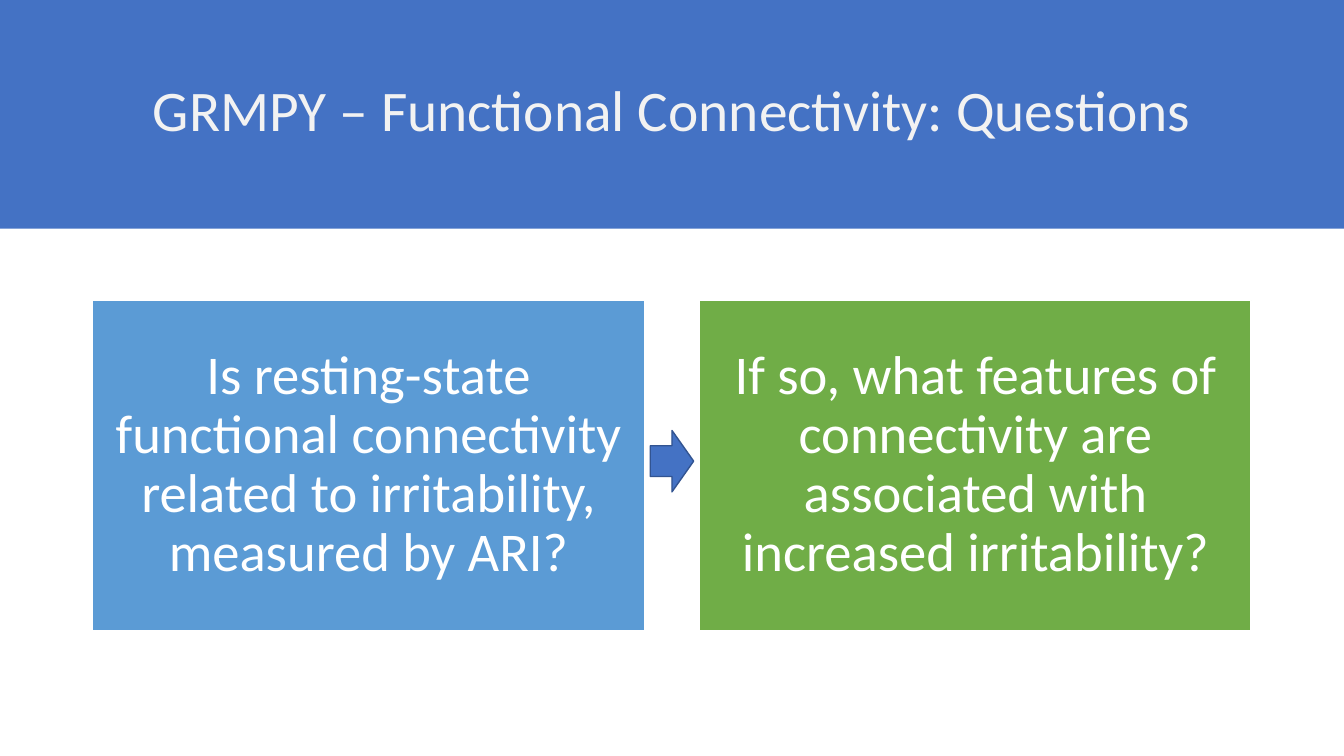
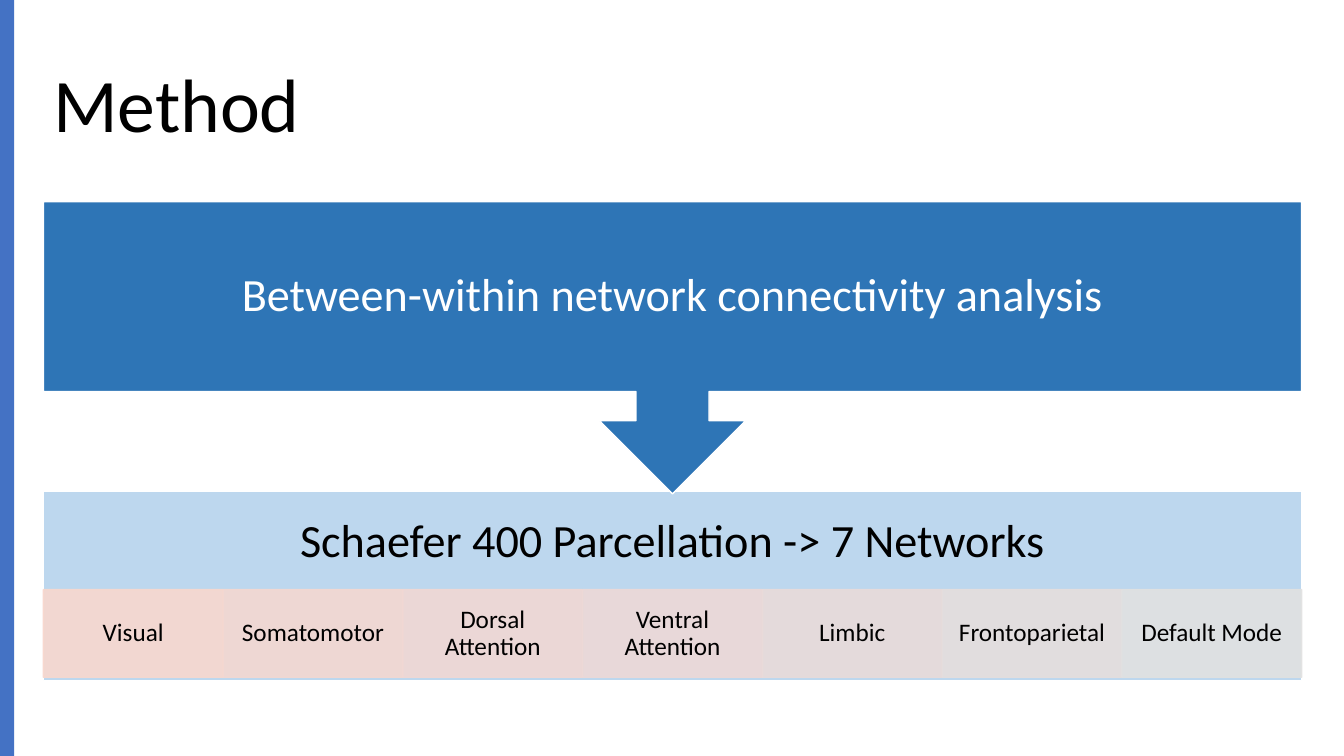
from lxml.etree import SubElement
from pptx import Presentation
from pptx.dml.color import RGBColor
from pptx.enum.shapes import MSO_SHAPE as SHAPE
from pptx.enum.text import MSO_ANCHOR, PP_ALIGN
from pptx.oxml.ns import qn
from pptx.util import Inches, Pt

FONT = "Calibri"
WHITE = RGBColor(0xFF, 0xFF, 0xFF)
BLACK = RGBColor(0x00, 0x00, 0x00)
PALE = RGBColor(0xF2, 0xF2, 0xF2)
ACCENT = RGBColor(0x44, 0x72, 0xC4)
ACCENT_EDGE = RGBColor(0x32, 0x54, 0x91)
SKY = RGBColor(0x5B, 0x9B, 0xD5)
GREEN = RGBColor(0x70, 0xAD, 0x47)
DEEP_BLUE = RGBColor(0x2E, 0x75, 0xB6)
LIGHT_BLUE = RGBColor(0xBD, 0xD7, 0xEE)

SLIDE_W, SLIDE_H = 13.33, 7.5
QUESTIONS = [
    ("Is resting-state functional connectivity related to irritability, "
     "measured by ARI?", SKY),
    ("If so, what features of connectivity are associated with increased "
     "irritability?", GREEN),
]
NETWORKS = [
    ("Visual", RGBColor(0xF8, 0xD7, 0xCE)),
    ("Somatomotor", RGBColor(0xF4, 0xD7, 0xD1)),
    ("Dorsal Attention", RGBColor(0xF1, 0xD8, 0xD4)),
    ("Ventral Attention", RGBColor(0xED, 0xD9, 0xD7)),
    ("Limbic", RGBColor(0xE9, 0xDB, 0xDA)),
    ("Frontoparietal", RGBColor(0xE5, 0xDE, 0xDD)),
    ("Default Mode", RGBColor(0xE1, 0xE1, 0xE1)),
]


def write(sp, text, size, color, align=PP_ALIGN.CENTER,
          insets=(0.1, 0.05, 0.1, 0.05)):
    """Set one middle-anchored paragraph; insets are left, top, right, bottom."""
    tf = sp.text_frame
    tf.word_wrap = True
    tf.vertical_anchor = MSO_ANCHOR.MIDDLE
    (tf.margin_left, tf.margin_top,
     tf.margin_right, tf.margin_bottom) = map(Inches, insets)
    p = tf.paragraphs[0]
    p.text = text
    p.alignment = align
    p.line_spacing = 0.9
    p.font.name = FONT
    p.font.size = Pt(size)
    p.font.color.rgb = color


def add_block(s, box, fill, line=None, kind=SHAPE.RECTANGLE):
    sp = s.shapes.add_shape(kind, *map(Inches, box))
    sp.shadow.inherit = False
    sp.fill.solid()
    sp.fill.fore_color.rgb = fill
    if line is None:
        sp.line.fill.background()
    else:
        sp.line.color.rgb = line
        sp.line.width = Pt(1)
    return sp


def add_title(s, box, text, size, color, align):
    write(s.shapes.add_textbox(*map(Inches, box)), text, size, color, align)


def set_opacity(sp, percent):
    """Apply one opacity to both the fill and the outline."""
    for color in sp._element.spPr.iter(qn("a:srgbClr")):
        SubElement(color, qn("a:alpha"), val=str(percent * 1000))


def add_questions(s, box):
    """Two question blocks side by side, with an arrow in the gap."""
    x, y, w, h = box
    gap, arrow_w, arrow_h = 0.55, 0.43, 0.61
    block_w = (w - gap) / 2
    for i, (text, fill) in enumerate(QUESTIONS):
        sp = add_block(s, (x + i * (block_w + gap), y, block_w, h), fill, WHITE)
        write(sp, text, 39, WHITE, insets=(0.16,) * 4)
    arrow = (x + (w - arrow_w) / 2, y + 1.29, arrow_w, arrow_h)
    add_block(s, arrow, ACCENT, ACCENT_EDGE, SHAPE.RIGHT_ARROW)


def add_networks(s, box):
    """Parcellation panel: a heading above one row of network cells."""
    x, y, w, h = box
    row_top, row_h = 0.98, 0.87
    sp = add_block(s, box, LIGHT_BLUE, WHITE)
    write(sp, "Schaefer 400 Parcellation -> 7 Networks", 33, BLACK,
          insets=(0.26, 0.26, 0.26, 1.12))
    cell_w = w / len(NETWORKS)
    for i, (name, fill) in enumerate(NETWORKS):
        cell = add_block(s, (x + i * cell_w, y + row_top, cell_w, row_h),
                         fill, fill)
        set_opacity(cell, 90)
        write(cell, name, 18, BLACK, insets=(0.14, 0.03, 0.14, 0.03))


def add_analysis(s, box):
    sp = add_block(s, box, DEEP_BLUE, WHITE, SHAPE.DOWN_ARROW_CALLOUT)
    write(sp, "Between-within network connectivity analysis", 33, WHITE,
          insets=(0.26,) * 4)


def build_questions_slide(s):
    add_block(s, (0, 0, SLIDE_W, 2.27), ACCENT)
    add_title(s, (0.92, 0.4, 11.5, 1.45),
              "GRMPY – Functional Connectivity: Questions", 41, PALE,
              PP_ALIGN.CENTER)
    add_questions(s, (0.92, 2.98, 11.49, 3.28))


def build_method_slide(s):
    left, width = 0.43, 12.48
    add_title(s, (left, 0.35, width, 1.45), "Method", 54, BLACK, PP_ALIGN.LEFT)
    add_block(s, (0, 0, 0.14, SLIDE_H), ACCENT)
    add_networks(s, (left, 4.87, width, 1.88))
    add_analysis(s, (left, 2, width, 2.9))


def main():
    prs = Presentation()
    prs.slide_width, prs.slide_height = Inches(SLIDE_W), Inches(SLIDE_H)
    for build in (build_questions_slide, build_method_slide):
        build(prs.slides.add_slide(prs.slide_layouts[6]))
    prs.save("out.pptx")


if __name__ == "__main__":
    main()
